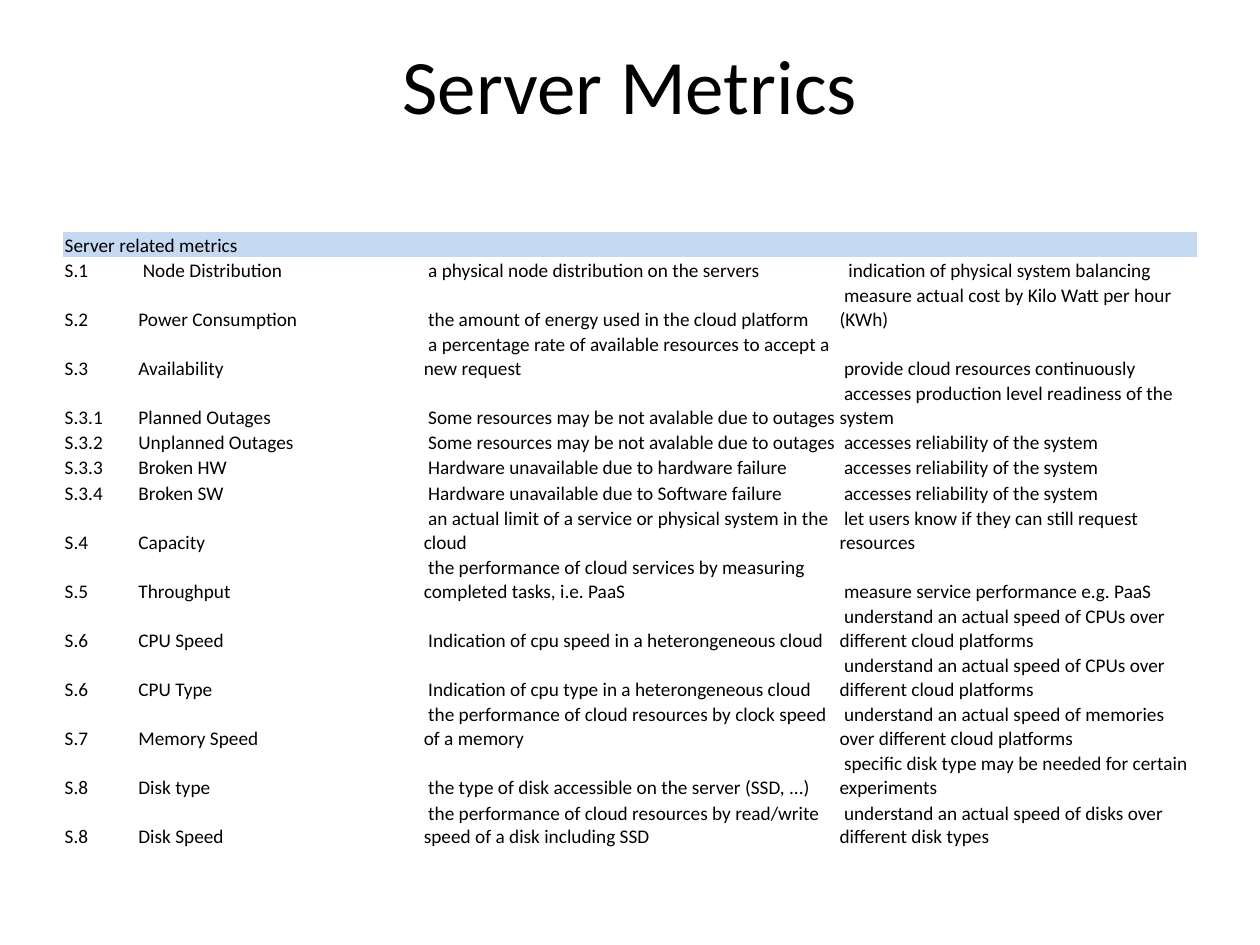
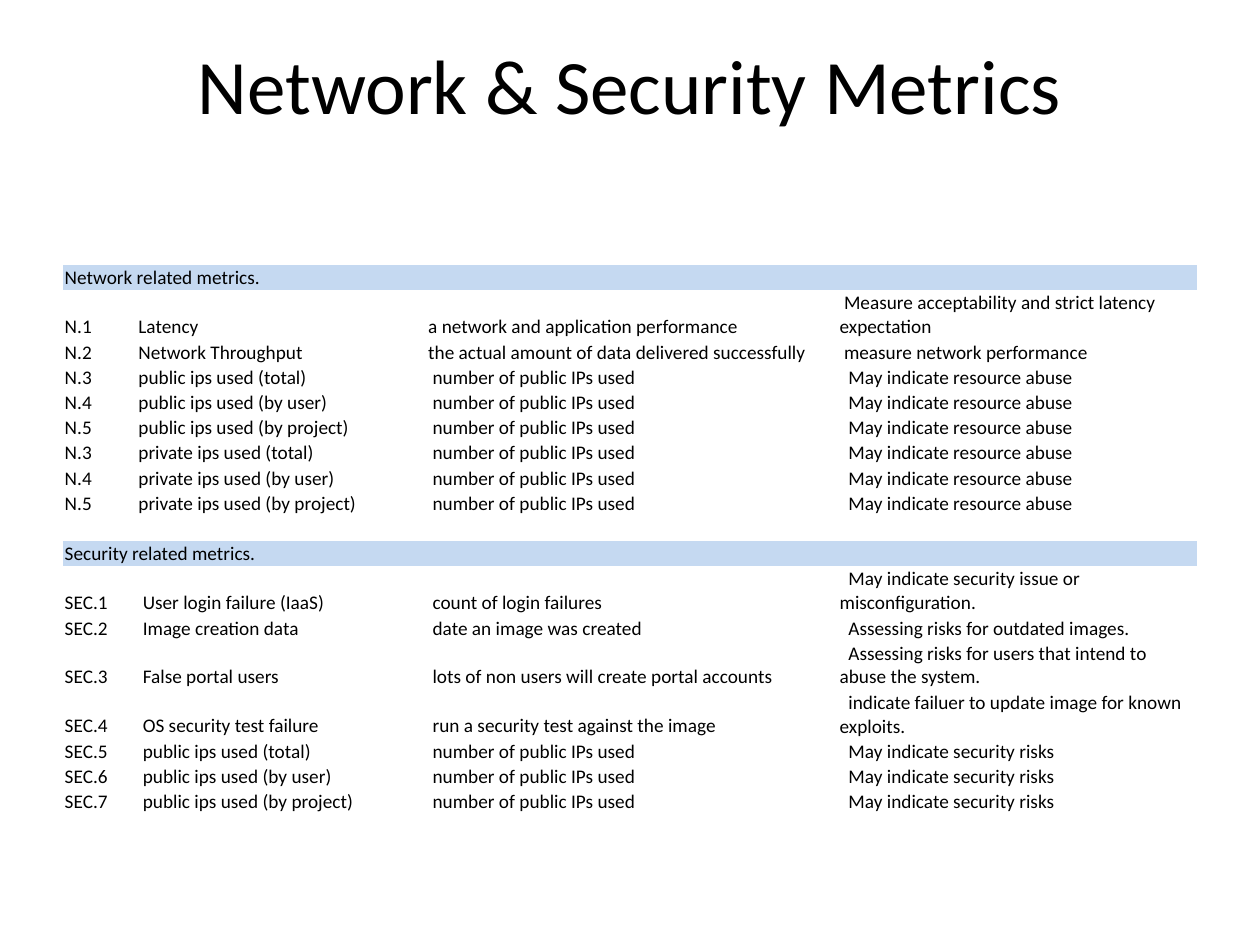
"""Build two slides of cloud metrics tables."""
from dataclasses import dataclass

from lxml import etree
from pptx import Presentation
from pptx.dml.color import RGBColor
from pptx.enum.text import MSO_ANCHOR, PP_ALIGN
from pptx.oxml.ns import qn
from pptx.util import Inches, Pt

MIDDLE, BOTTOM = MSO_ANCHOR.MIDDLE, MSO_ANCHOR.BOTTOM
CENTER, LEFT = PP_ALIGN.CENTER, PP_ALIGN.LEFT
PLAIN_TABLE_STYLE = "{2D5ABB26-0587-4C30-8999-92F81FD0307C}"


@dataclass(frozen=True)
class Theme:
    """Colours, type and measures that both slides share."""
    font: str = "Calibri"
    ink: RGBColor = RGBColor(0, 0, 0)
    band: RGBColor = RGBColor(0xC5, 0xD9, 0xF1)
    title_size: float = 44
    cell_size: float = 11
    indent_step: float = 2.5
    cell_inset: float = 1
    width: float = 10
    height: float = 7.5
    margin: float = 0.5
    columns: tuple = (0.55, 2.3, 3.3, 2.85)
    line_capacity: tuple = (10, 40, 55, 42)
    row_heights: tuple = (0.2, 0.39)


@dataclass(frozen=True)
class Group:
    """Metrics that share the first-line indent steps of their columns."""
    indents: tuple
    metrics: tuple


THEME = Theme()
BLANK_ROW = ("", "", "", "")
FLUSH = (0, 0, 0, 0)
RELIABILITY = "accesses reliability of the system"
OUTAGES = "Some resources may be not avalable due to outages"
CPU_PURPOSE = "understand an actual speed of CPUs over different cloud platforms"
IP_COUNT = "number of public IPs used"
IP_SCOPES = ("total", "by user", "by project")


def ip_metrics(prefix, first, kind, purpose):
    """List the address counts, one for each scope."""
    return tuple((f"{prefix}.{number}", f"{kind} ips used ({scope})", IP_COUNT, purpose)
                 for number, scope in enumerate(IP_SCOPES, first))


def heading(text):
    """Make the group that holds a section heading."""
    return Group(FLUSH, ((text,),))


SERVER = (
    heading("Server related metrics"),
    Group((0, 2, 1, 2), (
        ("S.1", "Node Distribution", "a physical node distribution on the servers",
         "indication of physical system balancing"),
    )),
    Group((0, 1, 1, 1), (
        ("S.2", "Power Consumption", "the amount of energy used in the cloud platform",
         "measure actual cost by Kilo Watt per hour (KWh)"),
        ("S.3", "Availability",
         "a percentage rate of available resources to accept a new request",
         "provide cloud resources continuously"),
        ("S.3.1", "Planned Outages", OUTAGES,
         "accesses production level readiness of the system"),
        ("S.3.2", "Unplanned Outages", OUTAGES, RELIABILITY),
        ("S.3.3", "Broken HW", "Hardware unavailable due to hardware failure", RELIABILITY),
        ("S.3.4", "Broken SW", "Hardware unavailable due to Software failure", RELIABILITY),
        ("S.4", "Capacity", "an actual limit of a service or physical system in the cloud",
         "let users know if they can still request resources"),
        ("S.5", "Throughput",
         "the performance of cloud services by measuring completed tasks, i.e. PaaS",
         "measure service performance e.g. PaaS"),
        ("S.6", "CPU Speed", "Indication of cpu speed in a heterongeneous cloud", CPU_PURPOSE),
        ("S.6", "CPU Type", "Indication of cpu type in a heterongeneous cloud", CPU_PURPOSE),
        ("S.7", "Memory Speed",
         "the performance of cloud resources by clock speed of a memory",
         "understand an actual speed of memories over different cloud platforms"),
        ("S.8", "Disk type", "the type of disk accessible on the server (SSD, ...)",
         "specific disk type may be needed for certain experiments"),
        ("S.8", "Disk Speed",
         "the performance of cloud resources by read/write speed of a disk including SSD",
         "understand an actual speed of disks over different disk types"),
    )),
)

NETWORK_AND_SECURITY = (
    heading("Network related metrics."),
    Group((0, 1, 1, 1), (
        ("N.1", "Latency", "a network and application performance",
         "Measure acceptability and strict latency expectation"),
        ("N.2", "Network Throughput", "the actual amount of data delivered successfully",
         "measure network performance"),
    )),
    Group((0, 1, 2, 2),
          ip_metrics("N", 3, "public", "May indicate resource abuse")
          + ip_metrics("N", 3, "private", "May indicate resource abuse")),
    Group(FLUSH, (BLANK_ROW,)),
    heading("Security related metrics."),
    Group((0, 2, 2, 2), (
        ("SEC.1", "User login failure (IaaS)", "count of login failures",
         "May indicate security issue or misconfiguration."),
        ("SEC.2", "Image creation data", "date an image was created",
         "Assessing risks for outdated images."),
        ("SEC.3", "False portal users", "lots of non users will create portal accounts",
         "Assessing risks for users that intend to abuse the system."),
        ("SEC.4", "OS security test failure", "run a security test against the image",
         "indicate failuer to update image for known exploits."),
    ) + ip_metrics("SEC", 5, "public", "May indicate security risks")),
)


def style_paragraph(paragraph, size, align):
    """Give a paragraph the shared typeface and colour."""
    paragraph.alignment = align
    paragraph.font.name = THEME.font
    paragraph.font.size = Pt(size)
    paragraph.font.color.rgb = THEME.ink


def add_title(slide, text):
    """Place the centred slide title."""
    title = slide.shapes.add_textbox(
        Inches(THEME.margin), Inches(0.04),
        Inches(THEME.width - 2 * THEME.margin), Inches(THEME.height / 6))
    frame = title.text_frame
    frame.word_wrap = True
    frame.vertical_anchor = MIDDLE
    frame.text = text
    style_paragraph(frame.paragraphs[0], THEME.title_size, CENTER)


def fill_cell(cell, text, indent):
    """Write a cell with tight margins and an indented first line."""
    cell.margin_left = cell.margin_right = cell.margin_top = Pt(THEME.cell_inset)
    cell.margin_bottom = 0
    cell.vertical_anchor = BOTTOM
    cell.fill.background()
    cell.text = text
    paragraph = cell.text_frame.paragraphs[0]
    style_paragraph(paragraph, THEME.cell_size, LEFT)
    properties = paragraph._p.get_or_add_pPr()
    properties.set("marL", "0")
    properties.set("indent", str(Pt(indent * THEME.indent_step)))
    if not text:
        etree.SubElement(paragraph._p, qn("a:endParaRPr"), sz=str(THEME.cell_size * 100))


def fill_heading(table, row, text):
    """Merge a row into a coloured section band."""
    band = table.cell(row, 0)
    band.merge(table.cell(row, len(THEME.columns) - 1))
    fill_cell(band, text, 0)
    band.fill.solid()
    band.fill.fore_color.rgb = THEME.band


def row_height(metric):
    """Choose one or two lines by the length of the texts."""
    wraps = any(len(text) > limit for text, limit in zip(metric, THEME.line_capacity))
    return THEME.row_heights[wraps and len(metric) > 1]


def add_metrics(slide, top, groups):
    """Place a table of section bands and metrics."""
    rows = [(metric, group.indents) for group in groups for metric in group.metrics]
    heights = [row_height(metric) for metric, _ in rows]
    table = slide.shapes.add_table(
        len(rows), len(THEME.columns), Inches(THEME.margin), Inches(top),
        Inches(sum(THEME.columns)), Inches(sum(heights))).table
    table.first_row = table.horz_banding = False
    table._tbl.tblPr.find(qn("a:tableStyleId")).text = PLAIN_TABLE_STYLE
    for column, width in zip(table.columns, THEME.columns):
        column.width = Inches(width)
    for index, (metric, indents) in enumerate(rows):
        table.rows[index].height = Inches(heights[index])
        if len(metric) == 1:
            fill_heading(table, index, metric[0])
            continue
        for column, (text, indent) in enumerate(zip(metric, indents)):
            fill_cell(table.cell(index, column), text, indent)


def main():
    """Build and save both slides."""
    deck = Presentation()
    deck.slide_width, deck.slide_height = Inches(THEME.width), Inches(THEME.height)
    blank = deck.slide_layouts[6]
    for title, top, groups in (
        ("Server Metrics", 1.84, SERVER),
        ("Network & Security Metrics", 2.1, NETWORK_AND_SECURITY),
    ):
        slide = deck.slides.add_slide(blank)
        add_title(slide, title)
        add_metrics(slide, top, groups)
    deck.save("out.pptx")


if __name__ == "__main__":
    main()
